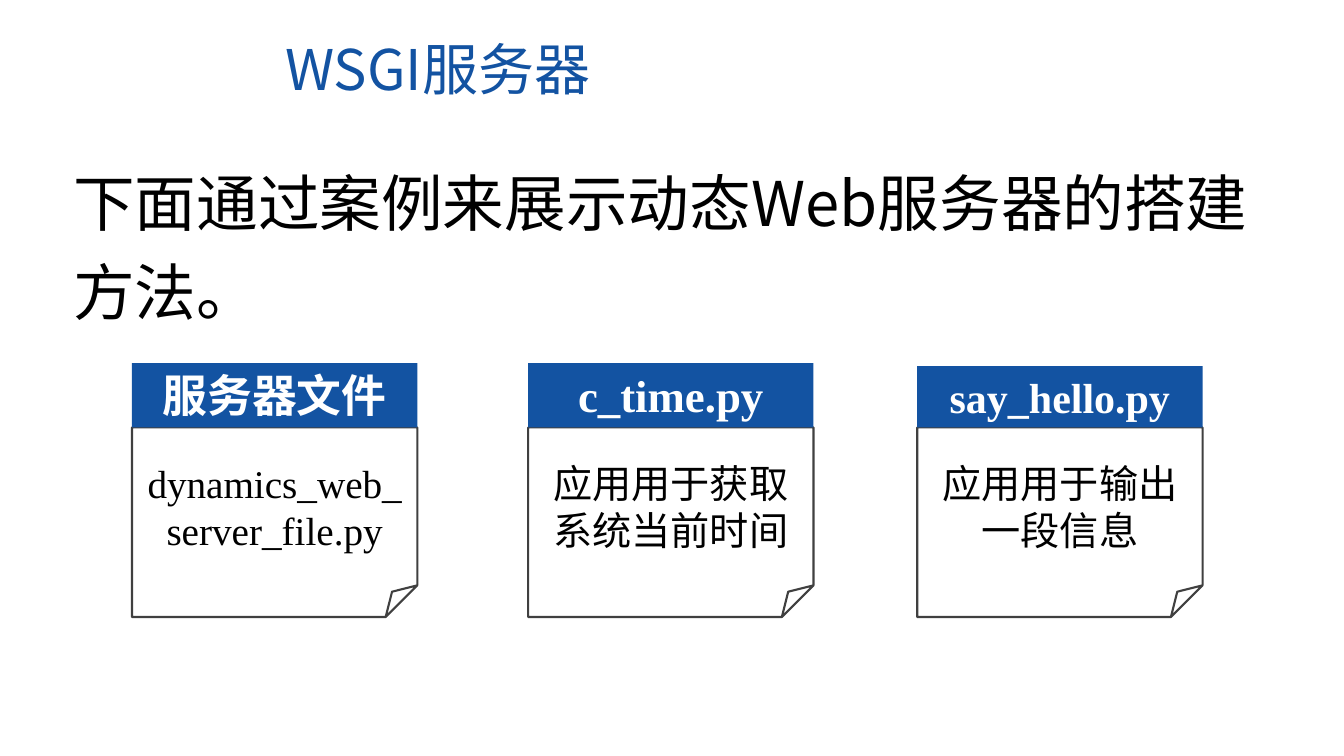
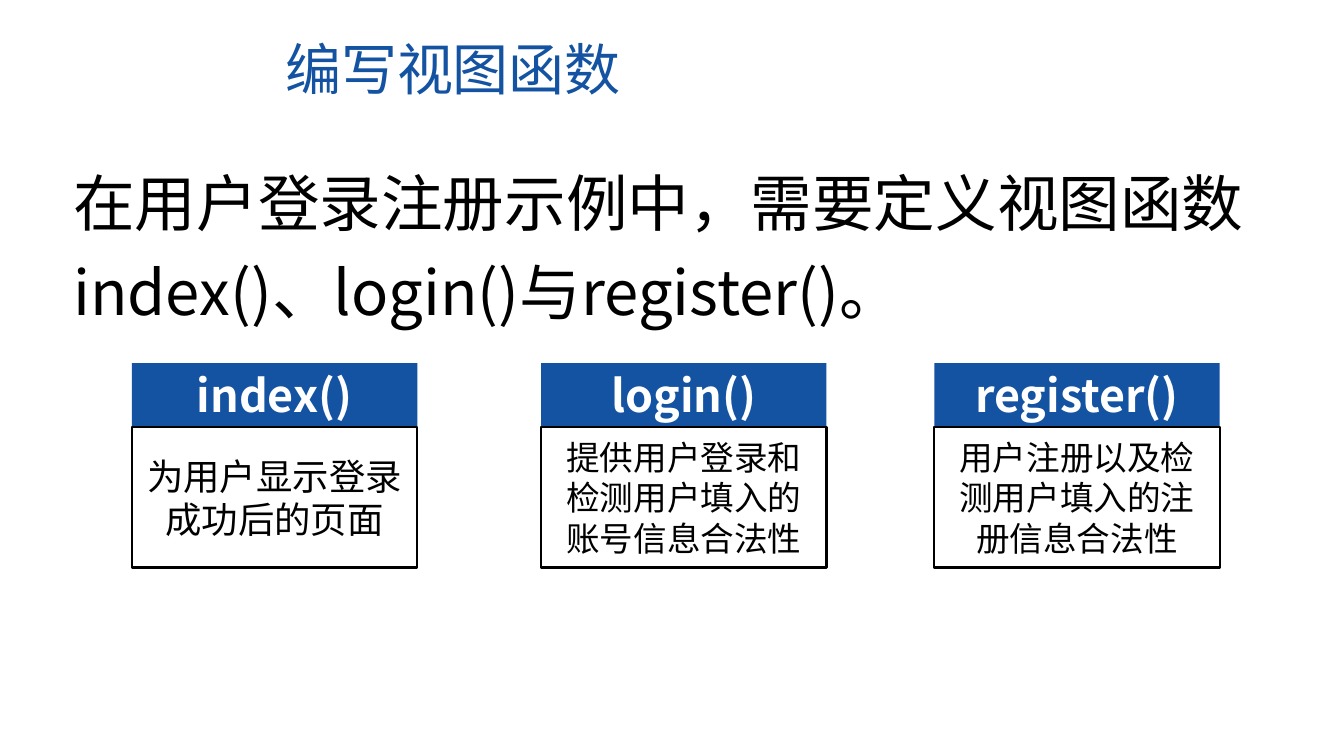
from lxml.etree import SubElement
from pptx import Presentation
from pptx.dml.color import RGBColor
from pptx.enum.shapes import MSO_SHAPE
from pptx.enum.text import MSO_ANCHOR, MSO_AUTO_SIZE, PP_ALIGN
from pptx.oxml.ns import qn
from pptx.util import Pt

BLUE, WHITE, BLACK, GREY = "1353A2", "FFFFFF", "000000", "404040"
SANS, SERIF = "Noto Sans CJK SC", "Times New Roman"
WIDTH, SPLIT = 203.8, 305.3


def color(code):
    return RGBColor.from_string(code)


def place(shape, left, top, width, height):
    shape.left, shape.top = Pt(left), Pt(top)
    shape.width, shape.height = Pt(width), Pt(height)


def write(shape, text, size, ink=BLACK, face=SANS, bold=False,
          align=PP_ALIGN.LEFT, anchor=MSO_ANCHOR.TOP, space=1.0):
    frame = shape.text_frame
    frame.word_wrap = True
    frame.auto_size = MSO_AUTO_SIZE.NONE
    frame.vertical_anchor = anchor
    para = frame.paragraphs[0]
    para.alignment, para.line_spacing = align, space
    run = para.add_run()
    run.text = text
    font = run.font
    font.size, font.bold, font.name = Pt(size), bold, face
    font.color.rgb = color(ink)
    east = SubElement(run._r.get_or_add_rPr(), qn("a:ea"))
    east.set("typeface", face)


def add_page(deck, title, lead, width):
    slide = deck.slides.add_slide(deck.slide_layouts[5])
    head = slide.shapes.title
    place(head, 196.5, 21, 423.5, 55.5)
    write(head, title, 40, BLUE)
    box = slide.shapes.add_textbox(Pt(45.3), Pt(103.7), Pt(width), Pt(132))
    write(box, lead, 44, space=1.2)
    return slide


def add_box(slide, kind, left, top, height):
    shape = slide.shapes.add_shape(kind, Pt(left), Pt(top), Pt(WIDTH), Pt(height))
    shape.shadow.inherit = False
    return shape


def add_label(slide, left, text, size=32, face=SANS, height=46):
    shape = add_box(slide, MSO_SHAPE.RECTANGLE, left, SPLIT - height, height)
    shape.fill.solid()
    shape.fill.fore_color.rgb = color(BLUE)
    shape.line.fill.background()
    write(shape, text, size, WHITE, face, True, PP_ALIGN.CENTER)


def add_panel(slide, kind, left, height, edge, text, size, face=SANS):
    shape = add_box(slide, kind, left, SPLIT, height)
    shape.fill.background()
    shape.line.color.rgb = color(edge)
    shape.line.width = Pt(1.5)
    write(shape, text, size, face=face, align=PP_ALIGN.CENTER,
          anchor=MSO_ANCHOR.MIDDLE)


def add_server(deck):
    slide = add_page(deck, "WSGI服务器",
                     "下面通过案例来展示动态Web服务器的搭建方法。", 895)
    notes = [
        (94.3, "服务器文件", 32, SANS, 46, "dynamics_web_server_file.py", SERIF),
        (377.3, "c_time.py", 32, SERIF, 46, "应用用于获取系统当前时间", SANS),
        (655.2, "say_hello.py", 30, SERIF, 43.7, "应用用于输出一段信息", SANS),
    ]
    for left, name, size, face, height, text, font in notes:
        add_panel(slide, MSO_SHAPE.FOLDED_CORNER, left, 135.4, GREY, text, 28, font)
        add_label(slide, left, name, size, face, height)


def add_views(deck):
    slide = add_page(deck, "编写视图函数",
                     "在用户登录注册示例中，需要定义视图函数index()、login()与register()。", 868.3)
    views = [
        (94.3, "index()", "为用户显示登录成功后的页面", 26),
        (386.6, "login()", "提供用户登录和检测用户填入的账号信息合法性", 24),
        (667.4, "register()", "用户注册以及检测用户填入的注册信息合法性", 24),
    ]
    for left, name, text, size in views:
        add_label(slide, left, name)
        add_panel(slide, MSO_SHAPE.RECTANGLE, left, 100.1, BLACK, text, size)


def main():
    deck = Presentation()
    deck.slide_width, deck.slide_height = Pt(960), Pt(540)
    add_server(deck)
    add_views(deck)
    deck.save("out.pptx")


if __name__ == "__main__":
    main()
